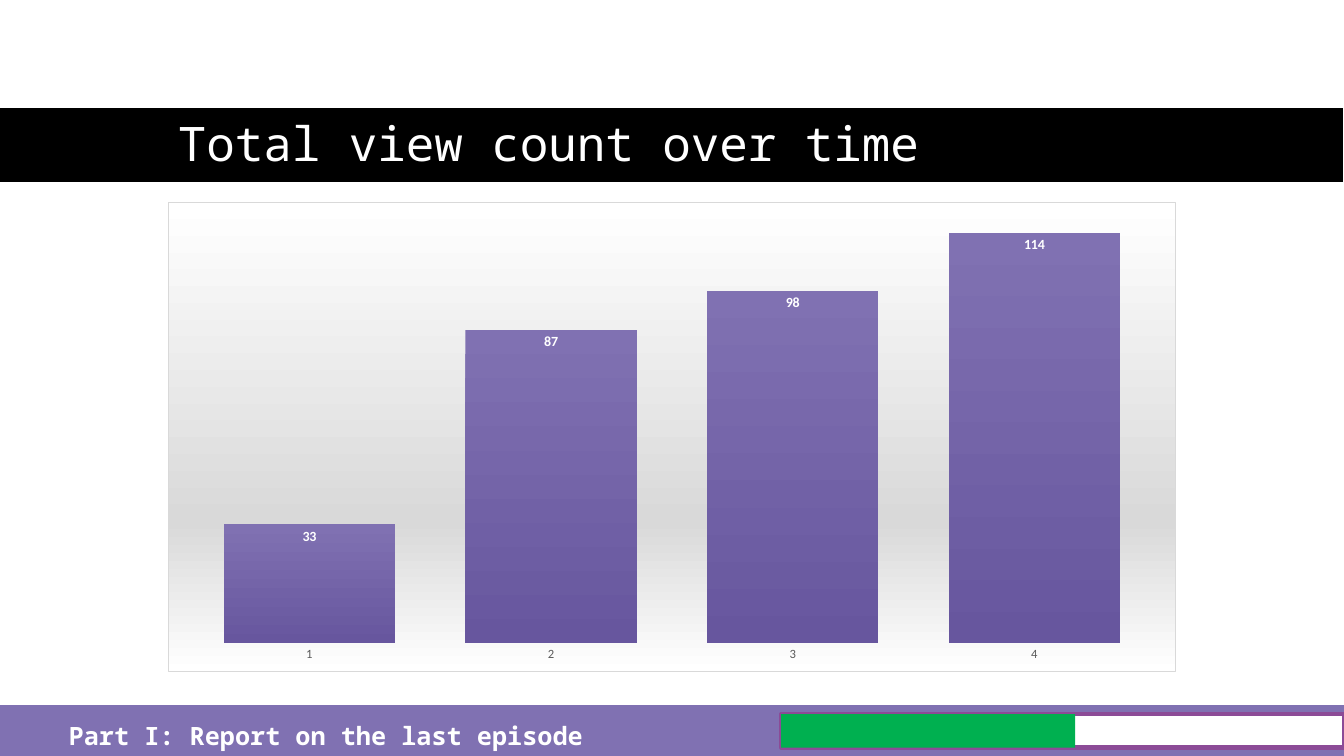
from pptx import Presentation
from pptx import util as u
from pptx.chart import data
from pptx.dml import color
from pptx.enum import chart as charts, shapes, text
from pptx.oxml import parse_xml
from pptx.oxml.ns import nsdecls, qn

Pt = u.Pt
COLORS = {
    "white": "FFFFFF", "black": "000000", "violet": "8071B2", "indigo": "67569E",
    "plum": "8C4B97", "green": "00B050", "silver": "D9D9D9", "gray": "595959",
}
MONO = "Noto Sans Mono"
VIEWS = {"1": 33, "2": 87, "3": 98, "4": 114}


def rgb(name):
    """Return the named colour."""
    return color.RGBColor.from_string(COLORS[name])


def style_font(font, face, size, shade, bold=False):
    """Set face, size, colour and weight of a font."""
    font.name, font.size, font.bold = face, Pt(size), bold
    font.color.rgb = rgb(shade)


def add_bar(page, box, fill, line=None, width=0):
    """Draw a filled rectangle with an optional outline."""
    bar = page.shapes.add_shape(shapes.MSO_SHAPE.RECTANGLE, *map(Pt, box))
    bar.shadow.inherit = False
    bar.fill.solid()
    bar.fill.fore_color.rgb = rgb(fill)
    if line:
        bar.line.color.rgb = rgb(line)
        bar.line.width = Pt(width)
    else:
        bar.line.fill.background()


def add_label(page, box, words, size, bold=False, anchor=text.MSO_ANCHOR.TOP, spacing=1.0):
    """Write one line of white monospaced text."""
    frame = page.shapes.add_textbox(*map(Pt, box)).text_frame
    frame.word_wrap = True
    frame.vertical_anchor = anchor
    para = frame.paragraphs[0]
    para.line_spacing = spacing
    span = para.add_run()
    span.text = words
    style_font(span.font, MONO, size, "white", bold)


def gradient(stops):
    """Return a top-to-bottom gradient fill from (percent, colour) stops."""
    marks = "".join(
        f'<a:gs pos="{percent * 1000}"><a:srgbClr val="{COLORS[name]}"/></a:gs>'
        for percent, name in stops)
    return (f'<a:gradFill {nsdecls("a")} rotWithShape="1"><a:gsLst>{marks}</a:gsLst>'
            '<a:lin ang="5400000" scaled="0"/></a:gradFill>')


def add_header(page, box):
    """Place the black band and its title."""
    left, top, width, height = box
    add_bar(page, box, "black", "white", 1.5)
    add_label(page, (left + 144, top - 40.5, 720, 90), "Total view count over time", 34,
              anchor=text.MSO_ANCHOR.BOTTOM, spacing=0.9)


def add_footer(page, box):
    """Place the footer band, section name and progress bar."""
    left, top, width, height = box
    add_bar(page, box, "violet", "violet", 1)
    add_label(page, (left + 42, top + 7, 390, 29), "Part I: Report on the last episode", 18, True)
    progress = (left + 558, top + 6, 402, 24)
    add_bar(page, progress, "white", "plum", 3)
    add_bar(page, (*progress[:2], 210, 24), "green")


def style_chart_area(chart):
    """Give the chart its gradient backdrop, border and plot position."""
    backdrop = gradient([(0, "white"), (68, "silver"), (100, "white")])
    chart._chartSpace.find(qn("c:chart")).addnext(parse_xml(
        f'<c:spPr {nsdecls("c", "a")}>{backdrop}<a:ln w="9525"><a:solidFill>'
        f'<a:srgbClr val="{COLORS["silver"]}"/></a:solidFill></a:ln></c:spPr>'))
    plot_area = chart._chartSpace.chart.plotArea
    for layout in plot_area.findall(qn("c:layout")):
        plot_area.remove(layout)
    places = "".join(f'<c:{key} val="{value}"/>' for key, value in (
        ("layoutTarget", "inner"), ("xMode", "edge"), ("yMode", "edge"),
        ("x", 0.02), ("y", 0.02), ("w", 0.96), ("h", 0.92)))
    plot_area.insert(0, parse_xml(
        f'<c:layout {nsdecls("c")}><c:manualLayout>{places}</c:manualLayout></c:layout>'))


def add_views_chart(page, box):
    """Place the column chart of view counts."""
    counts = data.CategoryChartData()
    counts.categories = list(VIEWS)
    counts.add_series("Series 1", list(VIEWS.values()))
    chart = page.shapes.add_chart(
        charts.XL_CHART_TYPE.COLUMN_CLUSTERED, *map(Pt, box), counts).chart
    chart.has_title = chart.has_legend = False
    style_font(chart.font, "Calibri", 10, "black")
    style_chart_area(chart)

    days = chart.category_axis
    days.major_tick_mark = charts.XL_TICK_MARK.NONE
    days.format.line.fill.background()
    style_font(days.tick_labels.font, "Calibri", 9, "gray")
    scale = chart.value_axis
    scale.minimum_scale, scale.maximum_scale = 0, 120
    scale.has_major_gridlines = False
    scale.visible = False

    plot = chart.plots[0]
    plot.gap_width = 41
    plot.vary_by_categories = False
    series = plot.series[0]
    series._element.get_or_add_spPr().append(
        parse_xml(gradient([(0, "violet"), (100, "indigo")])))
    labels = series.data_labels
    labels.show_value = True
    labels.position = charts.XL_LABEL_POSITION.INSIDE_END
    style_font(labels.font, "Calibri", 10, "white", True)


def main():
    """Build the slide and save it."""
    deck = Presentation()
    deck.slide_width, deck.slide_height = Pt(960), Pt(540)
    page = deck.slides.add_slide(deck.slide_layouts[6])
    add_header(page, (-24, 76.5, 984, 54))
    add_footer(page, (0, 504, 960, 36))
    add_views_chart(page, (120, 144, 720, 336))
    deck.save("out.pptx")


if __name__ == "__main__":
    main()
